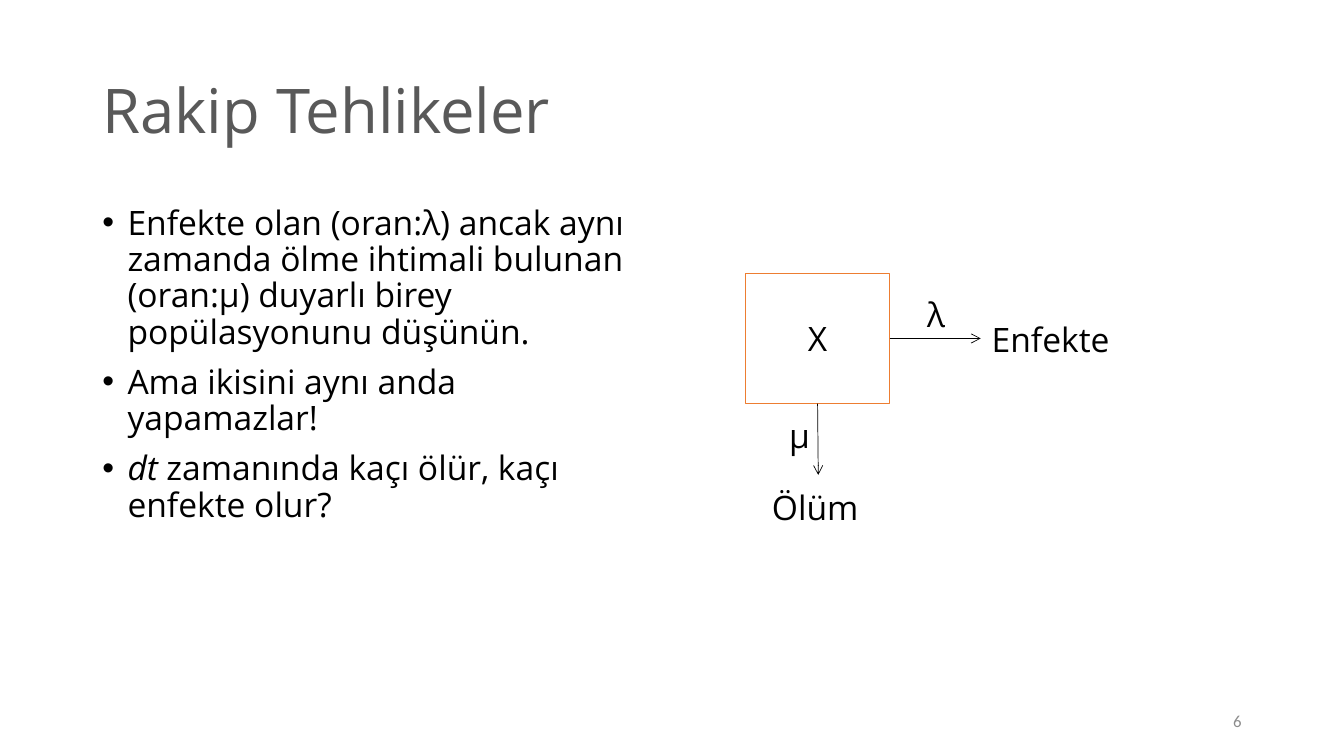
from dataclasses import dataclass

from lxml import etree
from pptx import Presentation
from pptx.dml.color import RGBColor
from pptx.enum import shapes, text
from pptx.oxml.ns import qn
from pptx.util import Pt


@dataclass
class Theme:
    font: str = "Open Sans"
    number_font: str = "Calibri"
    ink: str = "000000"
    title: str = "595959"
    number: str = "8C8C8C"
    accent: str = "ED7D31"
    paper: str = "FFFFFF"
    title_size: int = 44
    body_size: int = 24
    number_size: int = 12


T = Theme()
rgb = RGBColor.from_string
ANCHOR, ALIGN = text.MSO_ANCHOR, text.PP_ALIGN


def write(sp, paragraphs, size=T.body_size, color=T.ink, font=T.font, align=ALIGN.LEFT,
          anchor=ANCHOR.TOP, wrap=True, spacing=None, bullet=False):
    """Fill a shape; each paragraph is a list of (words, italic) runs."""
    tf = sp.text_frame
    tf.word_wrap, tf.vertical_anchor = wrap, anchor
    tf.auto_size = text.MSO_AUTO_SIZE.NONE if wrap else text.MSO_AUTO_SIZE.SHAPE_TO_FIT_TEXT
    for i, runs in enumerate(paragraphs):
        p = tf.add_paragraph() if i else tf.paragraphs[0]
        p.alignment = align
        p.line_spacing = spacing
        if bullet:
            p.space_before = Pt(10)
            pPr = p._p.get_or_add_pPr()
            pPr.set("marL", str(Pt(18)))
            pPr.set("indent", str(-Pt(18)))
            etree.SubElement(pPr, qn("a:buFont"), typeface="Arial")
            etree.SubElement(pPr, qn("a:buChar"), char="•")
        for words, italic in runs:
            r = p.add_run()
            r.text = words
            r.font.name, r.font.size, r.font.italic = font, Pt(size), italic
            r.font.color.rgb = rgb(color)


def box(x, y, w, h):
    return s.shapes.add_textbox(Pt(x), Pt(y), Pt(w), Pt(h))


prs = Presentation()
prs.slide_width, prs.slide_height = Pt(960), Pt(540)
s = prs.slides.add_slide(prs.slide_layouts[6])

# Title
write(box(66, 28.75, 828, 104.4), [[("Rakip Tehlikeler", False)]], size=T.title_size,
      color=T.title, anchor=ANCHOR.MIDDLE, spacing=0.9)

# Bullets
write(box(66, 143.75, 408, 342.6), [
    [("Enfekte olan (oran:λ) ancak aynı zamanda ölme ihtimali bulunan "
      "(oran:μ) duyarlı birey popülasyonunu düşünün.", False)],
    [("Ama ikisini aynı anda yapamazlar!", False)],
    [("dt", True), (" zamanında kaçı ölür, kaçı enfekte olur?", False)],
], spacing=0.9, bullet=True)

# Compartment X
left, top, width, height = 532.5, 195.25, 103, 93
right, bottom = left + width, top + height
middle_x, middle_y = left + width / 2, top + height / 2
sp = s.shapes.add_shape(shapes.MSO_SHAPE.RECTANGLE, Pt(left), Pt(top), Pt(width), Pt(height))
sp.shadow.inherit = False
sp.fill.solid()
sp.fill.fore_color.rgb = rgb(T.paper)
sp.line.color.rgb = rgb(T.accent)
sp.line.width = Pt(1)
write(sp, [[("X", False)]], align=ALIGN.CENTER, anchor=ANCHOR.MIDDLE)

# Arrows out of the compartment: infection, death
for x1, y1, x2, y2 in [(right, middle_y, right + 65, middle_y),
                       (middle_x, bottom, middle_x + 0.5, bottom + 51)]:
    cx = s.shapes.add_connector(shapes.MSO_CONNECTOR.STRAIGHT, Pt(x1), Pt(y1), Pt(x2), Pt(y2))
    cx.line.color.rgb = rgb(T.ink)
    cx.line.width = Pt(0.5)
    etree.SubElement(cx.line._get_or_add_ln(), qn("a:tailEnd"), type="arrow")
    etree.SubElement(cx._element.spPr, qn("a:effectLst"))

# Rates and outcomes
for label, x, y, w in [("λ", 655.2, 206.6, 27.4), ("Enfekte", 701.3, 224.6, 106.6),
                       ("μ", 556.6, 293, 36), ("Ölüm", 544.3, 344.2, 82.8)]:
    write(box(x, y, w, 36), [[(label, False)]], wrap=False)

# Slide number
write(box(678, 500.5, 216, 28.75), [[("6", False)]], size=T.number_size, color=T.number,
      font=T.number_font, align=ALIGN.RIGHT, anchor=ANCHOR.MIDDLE)

prs.save("out.pptx")
